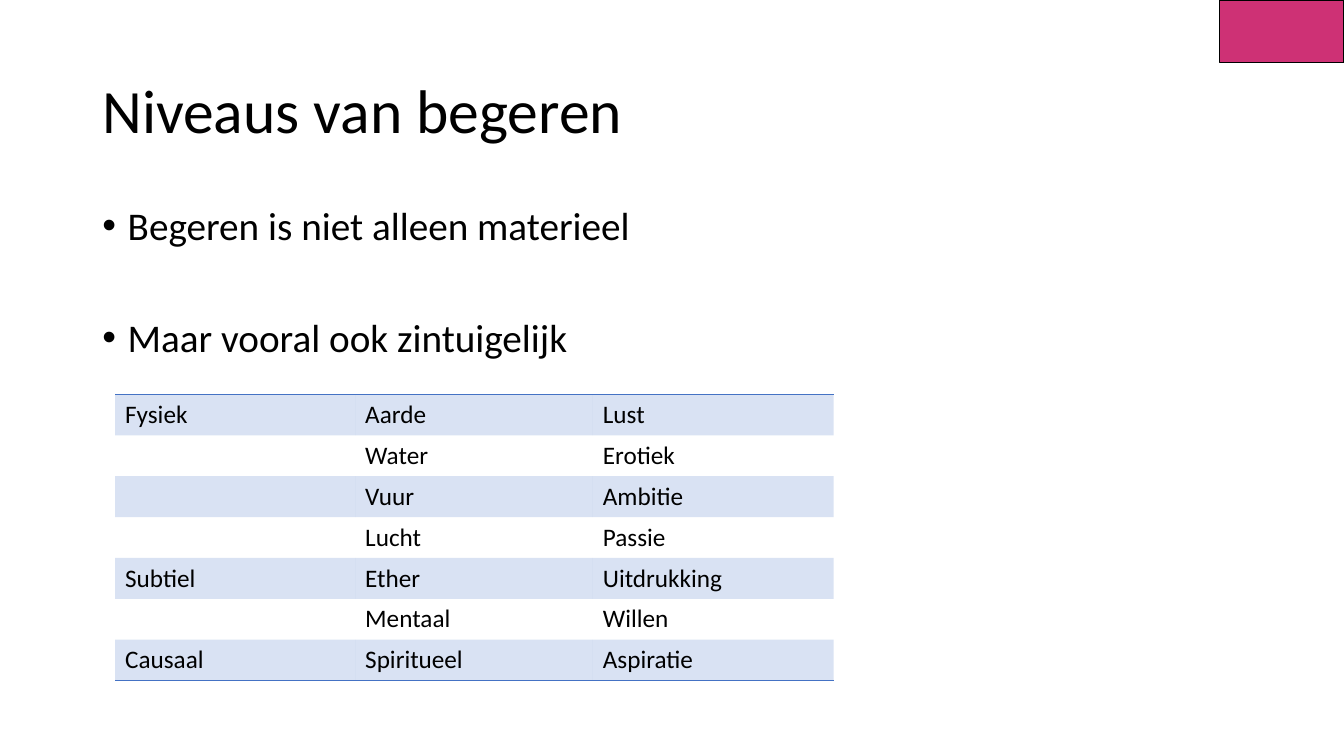
from lxml import etree
from pptx import Presentation
from pptx.dml.color import RGBColor
from pptx.enum.shapes import MSO_SHAPE
from pptx.enum.text import MSO_ANCHOR, PP_ALIGN
from pptx.oxml import parse_xml
from pptx.oxml.ns import nsdecls, qn
from pptx.util import Cm, Pt

RECTANGLE = MSO_SHAPE.RECTANGLE
TOP, MIDDLE = MSO_ANCHOR.TOP, MSO_ANCHOR.MIDDLE
LEFT = PP_ALIGN.LEFT

BLACK = RGBColor(0x00, 0x00, 0x00)
PINK = RGBColor(0xCE, 0x31, 0x75)
BLUE = RGBColor(0x44, 0x72, 0xC4)

TITLE = "Niveaus van begeren"
BULLETS = [  # text, space before in points
    ("Begeren is niet alleen materieel", 10),
    ("Maar vooral ook zintuigelijk", 50),
]
LEVELS = [
    ("Fysiek", "Aarde", "Lust"),
    ("", "Water", "Erotiek"),
    ("", "Vuur", "Ambitie"),
    ("", "Lucht", "Passie"),
    ("Subtiel", "Ether", "Uitdrukking"),
    ("", "Mentaal", "Willen"),
    ("Causaal", "Spiritueel", "Aspiratie"),
]
SLIDE_WIDTH, SLIDE_HEIGHT = 33.87, 19.05
COLUMN_WIDTHS = [6.05, 5.99, 6.07]
ROW_HEIGHT = 1.03
BAND_ALPHA = 20
NO_STYLE = "{2D5ABB26-0587-4C30-8999-92F81FD0307C}"

TITLE_FONT = {"name": "Calibri", "size": Pt(44)}
BODY_FONT = {"name": "Calibri", "size": Pt(28)}
TABLE_FONT = {"name": "Calibri", "size": Pt(18)}


def write(p, text, font, **paragraph_format):
    r = p.add_run()
    r.text = text
    for name, value in font.items():
        setattr(r.font, name, value)
    r.font.color.rgb = BLACK
    for name, value in paragraph_format.items():
        setattr(p, name, value)


def add_text_box(slide, left, top, width, height, anchor):
    tf = slide.shapes.add_textbox(Cm(left), Cm(top), Cm(width), Cm(height)).text_frame
    tf.word_wrap = True
    tf.vertical_anchor = anchor
    return tf


def add_bullet(p):
    pPr = p._p.get_or_add_pPr()
    pPr.set("marL", str(Cm(0.64)))
    pPr.set("indent", str(-Cm(0.64)))
    pPr.append(parse_xml(f'<a:buFont {nsdecls("a")} typeface="Arial"/>'))
    pPr.append(parse_xml(f'<a:buChar {nsdecls("a")} char="•"/>'))


def fill_band(cell):
    """Give the cell a see-through blue fill."""
    cell.fill.solid()
    cell.fill.fore_color.rgb = BLUE
    color = cell._tc.tcPr.find(".//" + qn("a:srgbClr"))
    etree.SubElement(color, qn("a:alpha")).set("val", str(BAND_ALPHA * 1000))


def add_border(cell, side):
    """Draw a blue line on side T (top) or B (bottom)."""
    cell._tc.get_or_add_tcPr().insert(0, parse_xml(
        f'<a:ln{side} {nsdecls("a")} w="{Pt(1)}"><a:solidFill>'
        f'<a:srgbClr val="{BLUE}"/></a:solidFill></a:ln{side}>'))


def add_corner_block(slide):
    width, height = 3.13, 1.58
    sp = slide.shapes.add_shape(
        RECTANGLE, Cm(SLIDE_WIDTH - width), 0, Cm(width), Cm(height))
    sp.shadow.inherit = False
    sp.fill.solid()
    sp.fill.fore_color.rgb = PINK
    sp.line.color.rgb = BLACK
    sp.line.width = Pt(1)


def add_levels_table(slide):
    last = len(LEVELS) - 1
    frame = slide.shapes.add_table(
        len(LEVELS), len(COLUMN_WIDTHS), Cm(2.9), Cm(9.94),
        Cm(sum(COLUMN_WIDTHS)), Cm(ROW_HEIGHT * len(LEVELS)))
    table = frame.table
    table.first_row = table.horz_banding = False
    table._tbl.tblPr.find(qn("a:tableStyleId")).text = NO_STYLE
    for column, width in zip(table.columns, COLUMN_WIDTHS):
        column.width = Cm(width)
    for i, texts in enumerate(LEVELS):
        table.rows[i].height = Cm(ROW_HEIGHT)
        for j, text in enumerate(texts):
            cell = table.cell(i, j)
            if text:
                write(cell.text_frame.paragraphs[0], text, TABLE_FONT, alignment=LEFT)
            if i % 2 == 0:
                fill_band(cell)
            else:
                cell.fill.background()
            if i == 0:
                add_border(cell, "T")
            if i == last:
                add_border(cell, "B")


def main():
    prs = Presentation()
    prs.slide_width, prs.slide_height = Cm(SLIDE_WIDTH), Cm(SLIDE_HEIGHT)
    slide = prs.slides.add_slide(prs.slide_layouts[6])

    tf = add_text_box(slide, 2.33, 1.01, 29.21, 3.68, MIDDLE)
    write(tf.paragraphs[0], TITLE, TITLE_FONT, line_spacing=0.9)

    tf = add_text_box(slide, 2.33, 5.07, 29.21, 12.09, TOP)
    for i, (text, gap) in enumerate(BULLETS):
        p = tf.add_paragraph() if i else tf.paragraphs[0]
        write(p, text, BODY_FONT, line_spacing=0.9, space_before=Pt(gap))
        add_bullet(p)

    add_corner_block(slide)
    add_levels_table(slide)
    prs.save("out.pptx")


if __name__ == "__main__":
    main()
